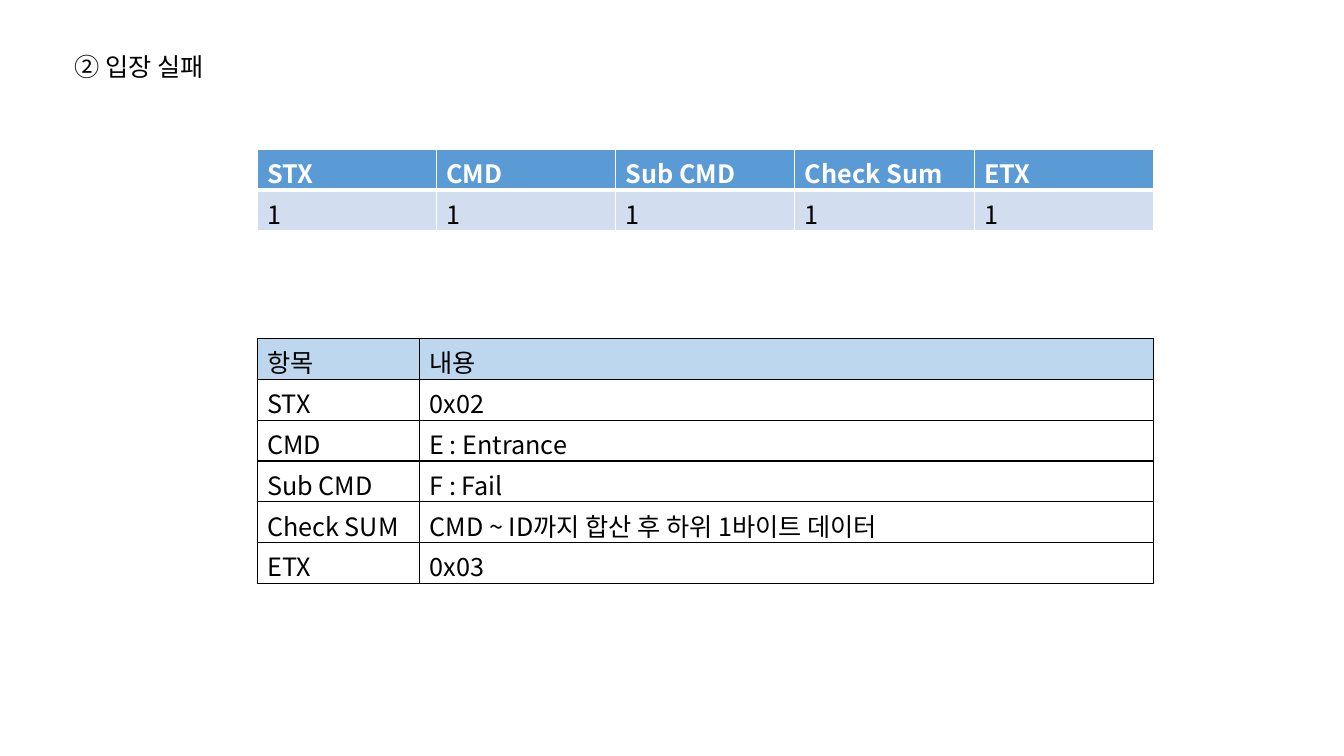
from lxml.etree import SubElement
from pptx import Presentation
from pptx.dml.color import RGBColor
from pptx.enum.text import MSO_ANCHOR, MSO_AUTO_SIZE, PP_ALIGN
from pptx.oxml import parse_xml
from pptx.oxml.ns import nsdecls, qn
from pptx.util import Inches, Pt

FONT = "Noto Sans CJK KR"
BLACK, WHITE = "000000", "FFFFFF"
LEFT, ROW_HEIGHT = 2.55, 0.405


def rgb(value):
    """Turn a hex string into a colour."""
    return RGBColor.from_string(value)


def add_run(p, text, color=BLACK, bold=False):
    """Add one run in the slide's font."""
    r = p.add_run()
    r.text = text
    r.font.name, r.font.size, r.font.bold = FONT, Pt(18), bold
    r.font.color.rgb = rgb(color)
    SubElement(r.font._element, qn("a:ea"), typeface=FONT)


def set_borders(cell, color, **widths):
    """Draw the four cell borders, 1 point wide unless a side is given."""
    tcPr = cell._tc.get_or_add_tcPr()
    for i, side in enumerate("LRTB"):
        width = Pt(widths.get(side, 1))
        tcPr.insert(i, parse_xml(
            f'<a:ln{side} {nsdecls("a")} w="{width}"><a:solidFill>'
            f'<a:srgbClr val="{color}"/></a:solidFill></a:ln{side}>'))


def format_cell(cell, text, fill=None, color=BLACK, bold=False):
    """Write the text of a cell and set its fill."""
    add_run(cell.text_frame.paragraphs[0], text, color, bold)
    if fill:
        cell.fill.solid()
        cell.fill.fore_color.rgb = rgb(fill)
    else:
        cell.fill.background()


def add_grid(s, top, widths, row_count):
    """Add an empty table with the given column widths."""
    table = s.shapes.add_table(
        row_count, len(widths), Inches(LEFT), Inches(top),
        Inches(sum(widths)), Inches(ROW_HEIGHT * row_count)).table
    for column, width in zip(table.columns, widths):
        column.width = Inches(width)
    return table


def add_packet_table(s, fields):
    """Add the packet layout: field names above their byte counts."""
    table = add_grid(s, 1.48, [8.89 / len(fields)] * len(fields), 2)
    for i, field in enumerate(fields):
        header, size = table.cell(0, i), table.cell(1, i)
        format_cell(header, field, "5B9BD5", WHITE, True)
        format_cell(size, "1", "D2DEEF")
        set_borders(header, WHITE, B=3)
        set_borders(size, WHITE, T=3)
        header.margin_bottom = size.margin_bottom = 0


def add_field_table(s, rows):
    """Add the table that explains each field."""
    table = add_grid(s, 3.36, [1.61, 7.28], len(rows))
    for i, row in enumerate(rows):
        for j, text in enumerate(row):
            cell = table.cell(i, j)
            format_cell(cell, text, "BDD7EE" if i == 0 else None)
            set_borders(cell, BLACK)


def add_title(s, text):
    """Place and write the slide title."""
    sp = s.shapes.title
    sp.left, sp.top, sp.width, sp.height = map(Inches, (0.64, 0.46, 1.64, 0.4))
    tf = sp.text_frame
    tf.word_wrap = False
    tf.auto_size = MSO_AUTO_SIZE.SHAPE_TO_FIT_TEXT
    tf.vertical_anchor = MSO_ANCHOR.TOP
    p = tf.paragraphs[0]
    p.alignment = PP_ALIGN.LEFT
    add_run(p, text)


def main():
    """Build the slide and save it."""
    prs = Presentation()
    prs.slide_width, prs.slide_height = Inches(13.33), Inches(7.5)
    s = prs.slides.add_slide(prs.slide_layouts[5])
    add_title(s, "② 입장 실패")
    add_packet_table(s, ["STX", "CMD", "Sub CMD", "Check Sum", "ETX"])
    add_field_table(s, [
        ("항목", "내용"),
        ("STX", "0x02"),
        ("CMD", "E : Entrance"),
        ("Sub CMD", "F : Fail"),
        ("Check SUM", "CMD ~ ID까지 합산 후 하위 1바이트 데이터"),
        ("ETX", "0x03"),
    ])
    prs.save("out.pptx")


if __name__ == "__main__":
    main()
